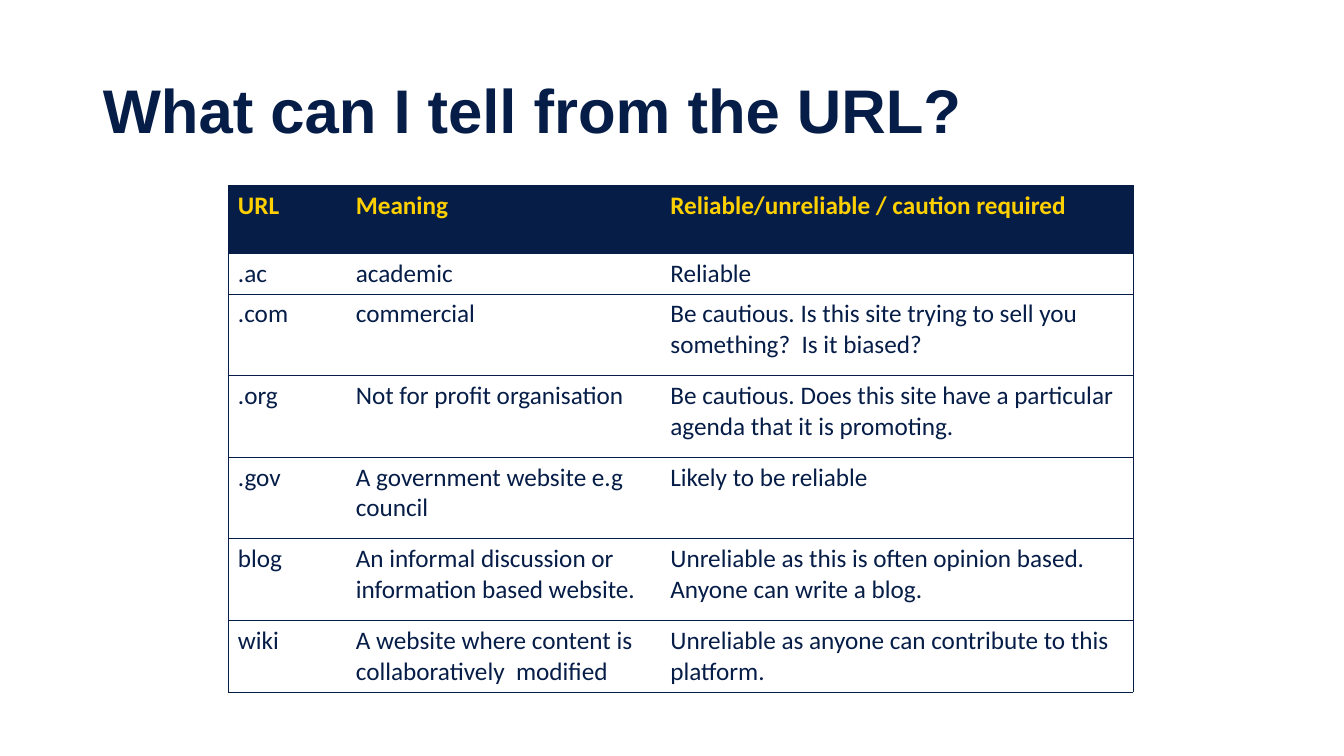
from dataclasses import dataclass

import pptx
import pptx.dml.color
import pptx.enum.text
import pptx.oxml
import pptx.oxml.ns
import pptx.presentation
import pptx.slide
import pptx.table
import pptx.text.text
import pptx.util
from pptx.util import Inches


@dataclass(frozen=True)
class Theme:
    navy: str = "061D48"
    gold: str = "FFD000"
    white: str = "FFFFFF"
    title_font: str = "Arial"
    table_font: str = "Calibri"
    title_size: int = 44
    table_size: int = 18
    border_width: float = 0.5


@dataclass(frozen=True)
class AddressRow:
    url: str
    meaning: str
    reliability: str
    height: float

    def texts(self) -> tuple[str, str, str]:
        return self.url, self.meaning, self.reliability


THEME = Theme()
COLUMN_WIDTHS = (1.17, 3.12, 4.69)
ROWS = (
    AddressRow("URL", "Meaning", "Reliable/unreliable / caution required", 0.67),
    AddressRow(".ac", "academic", "Reliable", 0.38),
    AddressRow(".com", "commercial",
               "Be cautious. Is this site trying to sell you something?  Is it biased?", 0.81),
    AddressRow(".org", "Not for profit organisation",
               "Be cautious. Does this site have a particular agenda that it is promoting.", 0.81),
    AddressRow(".gov", "A government website e.g council", "Likely to be reliable", 0.81),
    AddressRow("blog", "An informal discussion or information based website.",
               "Unreliable as this is often opinion based. Anyone can write a blog.", 0.81),
    AddressRow("wiki", "A website where content is collaboratively  modified",
               "Unreliable as anyone can contribute to this platform.", 0.67),
)


def add_run(paragraph: pptx.text.text._Paragraph, text: str, font: str, size: int,
            color: str, bold: bool) -> None:
    run = paragraph.add_run()
    run.text = text
    run.font.name = font
    run.font.size = pptx.util.Pt(size)
    run.font.bold = bold
    run.font.color.rgb = pptx.dml.color.RGBColor.from_string(color)


def add_border(cell: pptx.table._Cell, side: str, visible: bool) -> None:
    fill = (f'<a:solidFill><a:srgbClr val="{THEME.navy}"/></a:solidFill>'
            if visible else "<a:noFill/>")
    width = pptx.util.Pt(THEME.border_width)
    cell._tc.get_or_add_tcPr().append(pptx.oxml.parse_xml(
        f'<a:ln{side} {pptx.oxml.ns.nsdecls("a")} w="{int(width)}">{fill}</a:ln{side}>'))


def format_title(slide: pptx.slide.Slide) -> None:
    title = slide.shapes.title
    title.left, title.top = Inches(0.92), Inches(0.4)
    title.width, title.height = Inches(11.5), Inches(1.45)
    frame = title.text_frame
    frame.word_wrap = True
    frame.vertical_anchor = pptx.enum.text.MSO_ANCHOR.MIDDLE
    paragraph = frame.paragraphs[0]
    paragraph.alignment = pptx.enum.text.PP_ALIGN.LEFT
    paragraph.line_spacing = 0.9
    add_run(paragraph, "What can I tell from the URL?", THEME.title_font,
            THEME.title_size, THEME.navy, True)


def add_address_table(slide: pptx.slide.Slide) -> None:
    table = slide.shapes.add_table(
        len(ROWS), len(COLUMN_WIDTHS), Inches(2.26), Inches(1.84),
        Inches(sum(COLUMN_WIDTHS)), Inches(sum(row.height for row in ROWS))).table
    table.horz_banding = False
    for column, width in zip(table.columns, COLUMN_WIDTHS):
        column.width = Inches(width)

    last_column = len(COLUMN_WIDTHS) - 1
    for row_index, row in enumerate(ROWS):
        table.rows[row_index].height = Inches(row.height)
        is_header = row_index == 0
        for column_index, text in enumerate(row.texts()):
            cell = table.cell(row_index, column_index)
            # Horizontal rules throughout, vertical ones only on the outside
            add_border(cell, "L", column_index == 0)
            add_border(cell, "R", column_index == last_column)
            add_border(cell, "T", True)
            add_border(cell, "B", True)
            cell.fill.solid()
            cell.fill.fore_color.rgb = pptx.dml.color.RGBColor.from_string(
                THEME.navy if is_header else THEME.white)
            add_run(cell.text_frame.paragraphs[0], text, THEME.table_font, THEME.table_size,
                    THEME.gold if is_header else THEME.navy, is_header)


def main() -> None:
    presentation = pptx.Presentation()
    presentation.slide_width = Inches(13.33)
    presentation.slide_height = Inches(7.5)
    title_only = presentation.slide_layouts.get_by_name("Title Only")
    slide = presentation.slides.add_slide(title_only)
    format_title(slide)
    add_address_table(slide)
    presentation.save("out.pptx")


if __name__ == "__main__":
    main()
